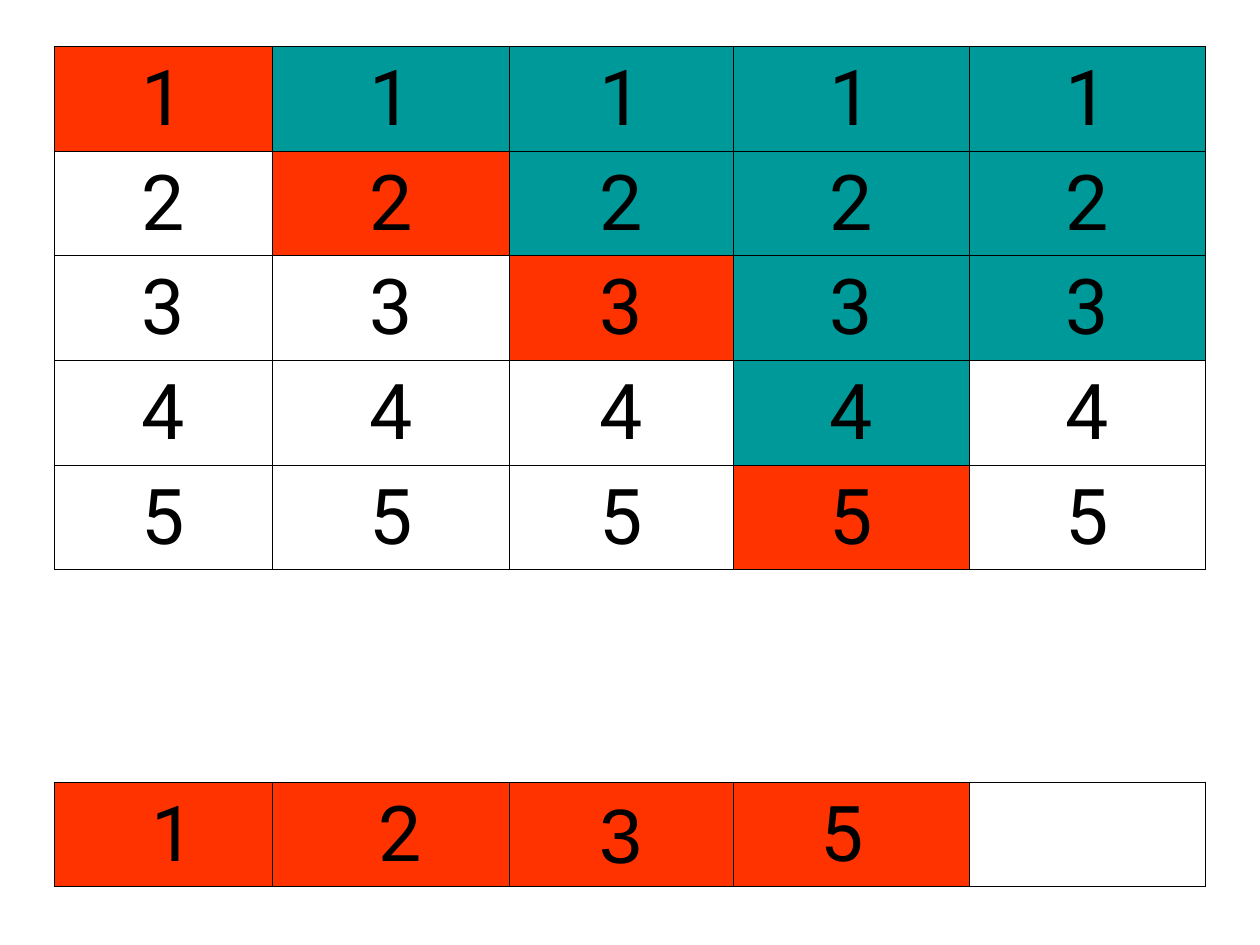
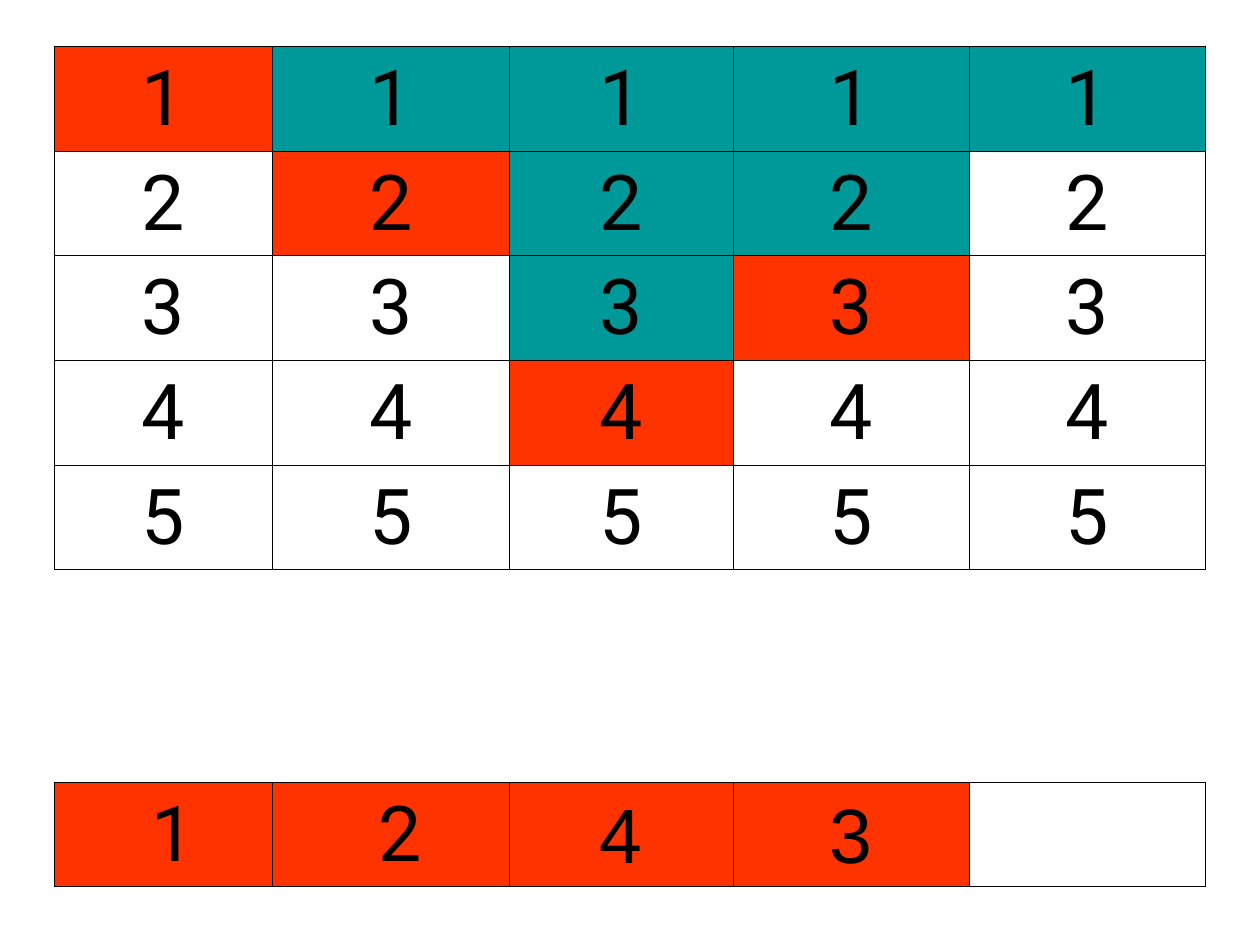
from pptx import Presentation
from pptx.dml.color import RGBColor
from pptx.enum.text import MSO_ANCHOR, PP_ALIGN
from pptx.oxml.ns import qn
from pptx.util import Pt
from lxml.etree import SubElement

COLORS = {"chosen": "FF3300", "tried": "009999", "open": "FFFFFF", "ink": "000000"}
STATES = {"C": "chosen", "T": "tried", ".": "open"}
FONT = "Roboto"
RESULT_FONT = "Arial"
FONT_SIZE = 44
BORDER_WIDTH = 0.45
TABLE_BOX = (31, 26.4)
COLUMN_WIDTHS = [124.6, 135.4, 128, 134.9, 134.9]
STEP_HEIGHT = 59.83
GAP_HEIGHT = 121.4
DIGIT_OFFSET = 10.9
SIDE_MARGIN = 7.2

SEARCHES = [
    {
        "states": ["CTTTT", ".CTTT", "..CTT", "...T.", "...C."],
        "result": [("1", FONT, 1), ("2", FONT, 1), ("3", RESULT_FONT, 0), ("5", FONT, -1)],
    },
    {
        "states": ["CTTTT", ".CTT.", "..TC.", "..C..", "....."],
        "result": [("1", FONT, 1), ("2", FONT, 1), ("4", RESULT_FONT, 0), ("3", RESULT_FONT, 0)],
    },
]


def style_cell(cell, state, sides="LRTB"):
    properties = cell._tc.get_or_add_tcPr()
    for side in "LRTB":
        line = SubElement(properties, qn(f"a:ln{side}"), w=str(Pt(BORDER_WIDTH)))
        if side in sides:
            fill = SubElement(line, qn("a:solidFill"))
            SubElement(fill, qn("a:srgbClr"), val=COLORS["ink"])
        else:
            SubElement(line, qn("a:noFill"))
    cell.fill.solid()
    cell.fill.fore_color.rgb = RGBColor.from_string(COLORS[state])


def write_digit(cell, digit, font=FONT, shift=0):
    cell.vertical_anchor = MSO_ANCHOR.BOTTOM
    cell.margin_left = Pt(SIDE_MARGIN + DIGIT_OFFSET * max(shift, 0))
    cell.margin_right = Pt(SIDE_MARGIN + DIGIT_OFFSET * max(-shift, 0))
    para = cell.text_frame.paragraphs[0]
    para.text = digit
    para.alignment = PP_ALIGN.CENTER
    para.font.name = font
    para.font.size = Pt(FONT_SIZE)
    para.font.color.rgb = RGBColor.from_string(COLORS["ink"])


def fill_choices(table, states):
    for row, row_states in enumerate(states):
        for column, state in enumerate(row_states):
            cell = table.cell(row, column)
            style_cell(cell, STATES[state])
            write_digit(cell, str(row + 1))


def fill_result(table, row, result):
    for column in range(len(COLUMN_WIDTHS)):
        cell = table.cell(row, column)
        if column < len(result):
            style_cell(cell, "chosen")
            write_digit(cell, *result[column])
        else:
            style_cell(cell, "open")


def add_search_table(page, box, search):
    left, top = box
    step_count = len(search["states"])
    heights = [STEP_HEIGHT] * step_count + [GAP_HEIGHT, STEP_HEIGHT]
    frame = page.shapes.add_table(
        len(heights), len(COLUMN_WIDTHS),
        Pt(left), Pt(top), Pt(sum(COLUMN_WIDTHS)), Pt(sum(heights)),
    )
    table = frame.table
    table.first_row = False
    table.horz_banding = False
    for column, width in zip(table.columns, COLUMN_WIDTHS):
        column.width = Pt(width)
    for row, height in zip(table.rows, heights):
        row.height = Pt(height)
    fill_choices(table, search["states"])
    for cell in table.rows[step_count].cells:
        style_cell(cell, "open", "TB")
    fill_result(table, step_count + 1, search["result"])


def main():
    deck = Presentation()
    deck.slide_width = Pt(720)
    deck.slide_height = Pt(540)
    for search in SEARCHES:
        page = deck.slides.add_slide(deck.slide_layouts[6])
        add_search_table(page, TABLE_BOX, search)
    deck.save("out.pptx")


if __name__ == "__main__":
    main()
